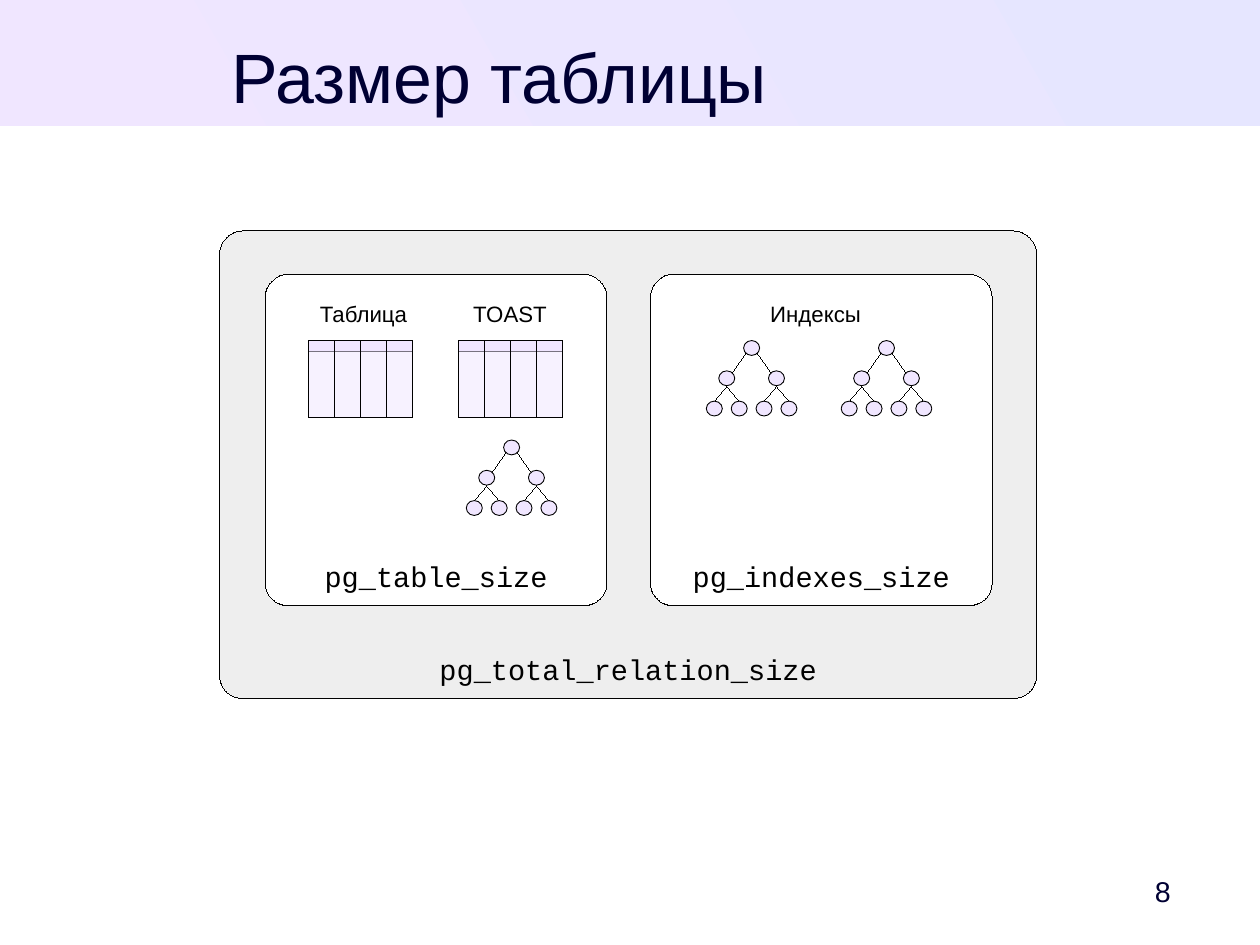
from dataclasses import dataclass
from lxml.etree import SubElement as Sub
from pptx import Presentation
from pptx.dml.color import RGBColor as Rgb
from pptx.enum.shapes import MSO_CONNECTOR as Link, MSO_SHAPE as Kind
from pptx.enum.text import MSO_ANCHOR as Anchor, MSO_AUTO_SIZE as Auto, PP_ALIGN as Align
from pptx.oxml.ns import qn
from pptx.util import Inches, Pt


@dataclass(frozen=True)
class Theme:
    navy: str = "000033"
    black: str = "000000"
    white: str = "FFFFFF"
    grey: str = "EEEEEE"
    blue: str = "E6E6FF"
    lilac: str = "F0E6FF"
    sans: str = "Arial"
    mono: str = "Courier New"
    title: int = 44
    name: int = 18
    label: int = 14
    hair: float = 0.01
    thin: float = 0.57


theme = Theme()


def draw(home, kind, box, fill=None, width=None):
    shape = home.add_shape(kind, *map(Inches, box))
    shape.shadow.inherit = False
    if fill:
        shape.fill.solid()
        shape.fill.fore_color.rgb = Rgb.from_string(fill)
    else:
        shape.fill.background()
    if width is None:
        shape.line.fill.background()
    else:
        shape.line.color.rgb = Rgb.from_string(theme.black)
        shape.line.width = Pt(width)
    return shape


def write(shape, text, size, font, color, align, pads=(0.1, 0.05, 0.1, 0.05), wrap=False):
    frame = shape.text_frame
    frame.word_wrap = wrap
    (frame.margin_left, frame.margin_top,
     frame.margin_right, frame.margin_bottom) = map(Inches, pads)
    line = frame.paragraphs[0]
    line.alignment = align
    run = line.add_run()
    run.text = text
    run.font.size = Pt(size)
    run.font.name = font
    run.font.color.rgb = Rgb.from_string(color)
    return frame


# Slide of 28 by 21 centimetres
deck = Presentation()
deck.slide_width, deck.slide_height = Inches(28 / 2.54), Inches(21 / 2.54)
slide = deck.slides.add_slide(deck.slide_layouts[6])
shapes = slide.shapes

# Header band
band = draw(shapes, Kind.RECTANGLE, (0, 0, 28 / 2.54, 1.1))
band.fill.gradient()
band.fill.gradient_angle = 210
for stop, color, place in zip(band.fill.gradient_stops, (theme.blue, theme.lilac), (0, 1)):
    stop.color.rgb = Rgb.from_string(color)
    stop.position = place

# Page number and title
page = shapes.add_textbox(*map(Inches, (9.69, 7.56, 0.87, 0.47)))
frame = write(page, "8", theme.name, theme.sans, theme.navy, Align.CENTER,
              (0.1, 0.05, 0, 0.05), True)
frame.vertical_anchor = Anchor.MIDDLE
title = shapes.add_textbox(*map(Inches, (0.47, 0.29, 7.8, 0.69)))
write(title, "Размер таблицы", theme.title, theme.sans, theme.navy, Align.CENTER,
      (0, 0, 0, 0), True)

# Nested size panels
panels = [
    ("pg_total_relation_size", (1.92, 2.02, 7.15, 4.09), theme.grey, 0.05),
    ("pg_indexes_size", (5.69, 2.4, 2.99, 2.9), theme.white, 0.07),
    ("pg_table_size", (2.32, 2.4, 2.99, 2.9), theme.white, 0.07),
]
for text, box, fill, curve in panels:
    panel = draw(shapes, Kind.ROUNDED_RECTANGLE, box, fill, theme.hair)
    panel.adjustments[0] = curve
    frame = write(panel, text, theme.name, theme.mono, theme.black, Align.CENTER)
    frame.vertical_anchor = Anchor.BOTTOM

# Tables with a header row and four half-clear columns
top, wide, high, cols = 2.98, 0.91, 0.67, 4
for left in (2.7, 4.01):
    group = shapes.add_group_shape().shapes
    draw(group, Kind.RECTANGLE, (left, top, wide, 0.1), theme.lilac, theme.thin)
    draw(group, Kind.RECTANGLE, (left, top, wide, high), None, theme.thin)
    for col in range(cols):
        step = wide / cols
        cell = draw(group, Kind.RECTANGLE, (left + col * step, top, step, high),
                    theme.lilac, theme.hair)
        tint = cell.fill._xPr.find(qn("a:solidFill"))[0]
        Sub(tint, qn("a:alpha")).set("val", "50000")

# Index trees: each level doubles its nodes
span, rise, node_w, node_h = 0.87, 0.265, 0.14, 0.13
# Per level: start and end shift from the parent's middle, start and end height
links = [(0.05, 0.17, 0.11, 0.28), (0, 0.11, 0.4, 0.53)]
for left, top in ((4.08, 3.85), (6.18, 2.98), (7.36, 2.98)):
    group = shapes.add_group_shape().shapes
    for level in range(3):
        count = 2 ** level
        for i in range(count):
            x = left + span * ((i + 0.5) / count - 1 / 8)
            draw(group, Kind.OVAL, (x, top + level * rise, node_w, node_h),
                 theme.lilac, theme.thin)
            if level == 2:
                continue
            near, far, start, end = links[level]
            mid = x + node_w / 2
            for side in (-1, 1):
                ends = (mid + side * near, top + start, mid + side * far, top + end)
                edge = group.add_connector(Link.STRAIGHT, *map(Inches, ends))
                edge.line.color.rgb = Rgb.from_string(theme.black)
                edge.line.width = Pt(theme.hair)
                Sub(edge._element.spPr, qn("a:effectLst"))

# Labels
for text, left, width in (("Таблица", 2.7, 1), ("TOAST", 4.04, 0.88), ("Индексы", 6.64, 1.03)):
    label = shapes.add_textbox(*map(Inches, (left, 2.58, width, 0.32)))
    frame = write(label, text, theme.label, theme.sans, theme.black, Align.LEFT)
    frame.auto_size = Auto.SHAPE_TO_FIT_TEXT

deck.save("out.pptx")
